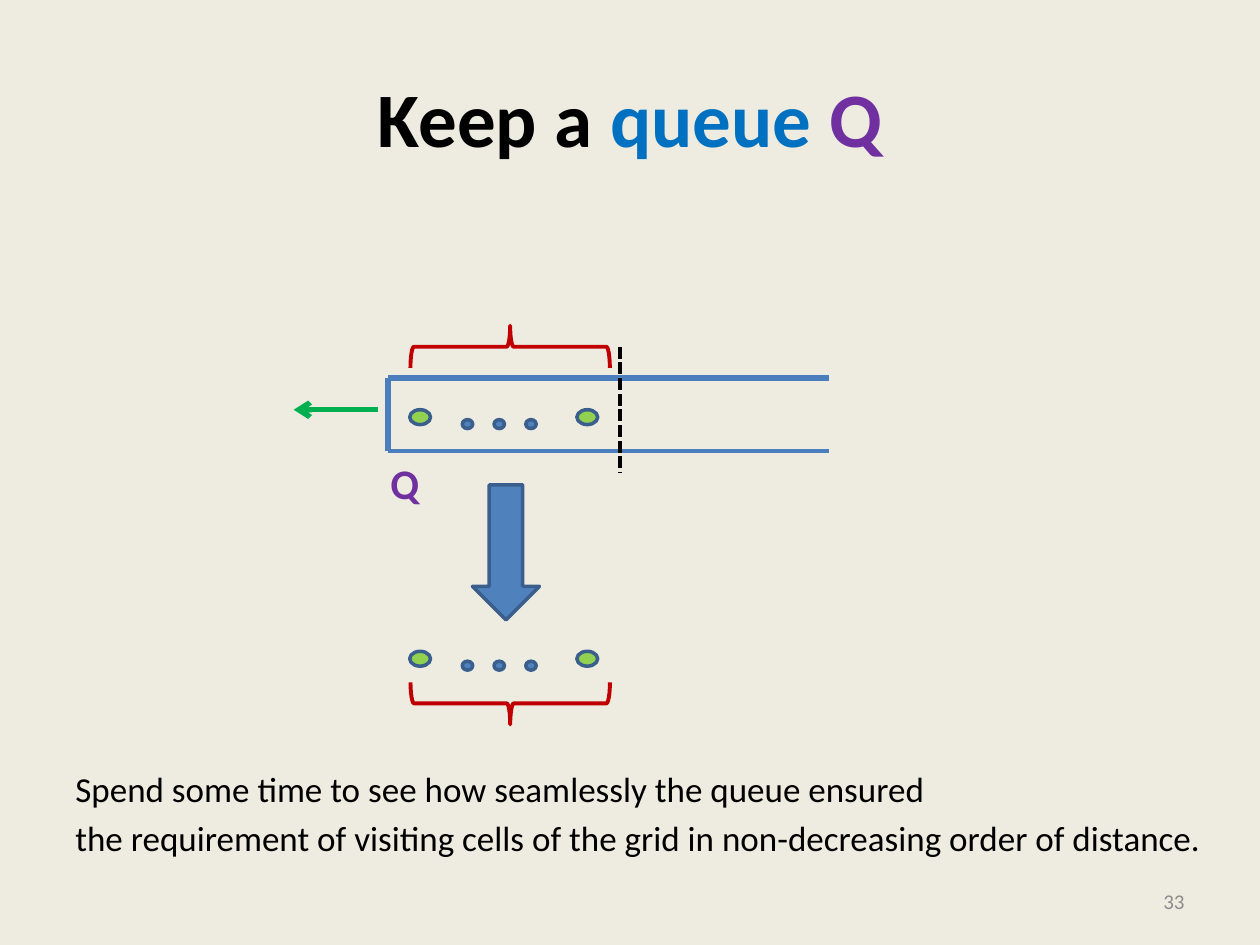
"""Build a slide showing a queue Q whose cells are taken out in order."""
from lxml.etree import SubElement
from pptx import Presentation
from pptx.dml.color import RGBColor
from pptx.enum.dml import MSO_LINE
from pptx.enum.shapes import MSO_CONNECTOR, MSO_SHAPE
from pptx.enum.text import MSO_ANCHOR, PP_ALIGN
from pptx.oxml.ns import qn
from pptx.util import Cm, Pt

BACKGROUND = RGBColor(0xEE, 0xEC, 0xE1)
BLACK = RGBColor(0x00, 0x00, 0x00)
GREY = RGBColor(0x8C, 0x8C, 0x8C)
SKY = RGBColor(0x00, 0x70, 0xC0)
PURPLE = RGBColor(0x70, 0x30, 0xA0)
LIME = RGBColor(0x92, 0xD0, 0x50)
GREEN = RGBColor(0x00, 0xB0, 0x50)
RED = RGBColor(0xC0, 0x00, 0x00)
BLUE = RGBColor(0x4F, 0x81, 0xBD)
FRAME_BLUE = RGBColor(0x4B, 0x7E, 0xBC)
OUTLINE = RGBColor(0x3A, 0x5F, 0x8C)


def add_run(para, text, size, color, bold=False):
    span = para.add_run()
    span.text = text
    span.font.name = "Calibri"
    span.font.size = Pt(size)
    span.font.bold = bold
    span.font.color.rgb = color


def add_solid(kind, left, top, width, height, fill, line, weight=2, rotation=0):
    shape = slide.shapes.add_shape(kind, Cm(left), Cm(top), Cm(width), Cm(height))
    shape.shadow.inherit = False
    shape.rotation = rotation
    if fill is None:
        shape.fill.background()
    else:
        shape.fill.solid()
        shape.fill.fore_color.rgb = fill
    shape.line.color.rgb = line
    shape.line.width = Pt(weight)


deck = Presentation()
deck.slide_width, deck.slide_height = Cm(25.4), Cm(19.05)
slide = deck.slides.add_slide(deck.slide_layouts[5])
slide.background.fill.solid()
slide.background.fill.fore_color.rgb = BACKGROUND

title = slide.shapes.title
title.left, title.top, title.width, title.height = Cm(1.27), Cm(0.76), Cm(22.86), Cm(3.18)
title.text_frame.vertical_anchor = MSO_ANCHOR.MIDDLE
para = title.text_frame.paragraphs[0]
para.alignment = PP_ALIGN.CENTER
for text, color in [("Keep a ", BLACK), ("queue ", SKY), ("Q", PURPLE)]:
    add_run(para, text, 44, color, True)

remark = slide.shapes.add_textbox(Cm(1.27), Cm(15.34), Cm(23.93), Cm(2.1))
remark.text_frame.word_wrap = True
para = remark.text_frame.paragraphs[0]
add_run(para, "Spend some time to see how seamlessly the queue ensured", 20, BLACK)
para = remark.text_frame.add_paragraph()
para.space_before = Pt(4)
add_run(para, "the requirement of visiting cells of the grid in non-decreasing order of distance.", 20, BLACK)

number = slide.shapes.add_textbox(Cm(18.21), Cm(17.65), Cm(5.92), Cm(1.02))
number.text_frame.vertical_anchor = MSO_ANCHOR.MIDDLE
number.text_frame.word_wrap = True
para = number.text_frame.paragraphs[0]
para.alignment = PP_ALIGN.RIGHT
add_run(para, "33", 12, GREY)

for cell_top, brace_top, rotation in [(8.26, 4.98, 270), (13.13, 12.17, 90)]:
    for left in (8.26, 11.63):
        add_solid(MSO_SHAPE.OVAL, left, cell_top, 0.42, 0.3, LIME, OUTLINE)
    for index in range(3):
        add_solid(MSO_SHAPE.OVAL, 9.32 + 0.64 * index, cell_top + 0.2, 0.21, 0.18, BLUE, OUTLINE)
    add_solid(MSO_SHAPE.RIGHT_BRACE, 9.86, brace_top, 0.85, 4.02, None, RED, 2.25, rotation)

queue_label = slide.shapes.add_textbox(Cm(7.62), Cm(9.1), Cm(1.09), Cm(1.27))
queue_label.text_frame.word_wrap = False
add_run(queue_label.text_frame.paragraphs[0], "Q", 24, PURPLE, True)

add_solid(MSO_SHAPE.LEFT_ARROW, 8.84, 10.46, 2.72, 1.35, BLUE, OUTLINE, rotation=270)

lines = [
    (7.82, 7.62, 16.71, 7.62, FRAME_BLUE, 3, None, False),
    (16.71, 9.1, 7.82, 9.1, FRAME_BLUE, 2.25, None, False),
    (7.82, 9.1, 7.82, 7.62, FRAME_BLUE, 3, None, False),
    (7.62, 8.26, 5.92, 8.26, GREEN, 3, None, True),
    (12.5, 6.99, 12.5, 9.53, BLACK, 2.25, MSO_LINE.SQUARE_DOT, False),
]
for x1, y1, x2, y2, color, weight, dash, has_arrow in lines:
    line = slide.shapes.add_connector(MSO_CONNECTOR.STRAIGHT, Cm(x1), Cm(y1), Cm(x2), Cm(y2))
    line.line.color.rgb = color
    line.line.width = Pt(weight)
    if dash:
        line.line.dash_style = dash
    properties = line._element.spPr
    if has_arrow:
        SubElement(properties.find(qn("a:ln")), qn("a:tailEnd"), type="arrow")
    SubElement(properties, qn("a:effectLst"))

deck.save("out.pptx")
